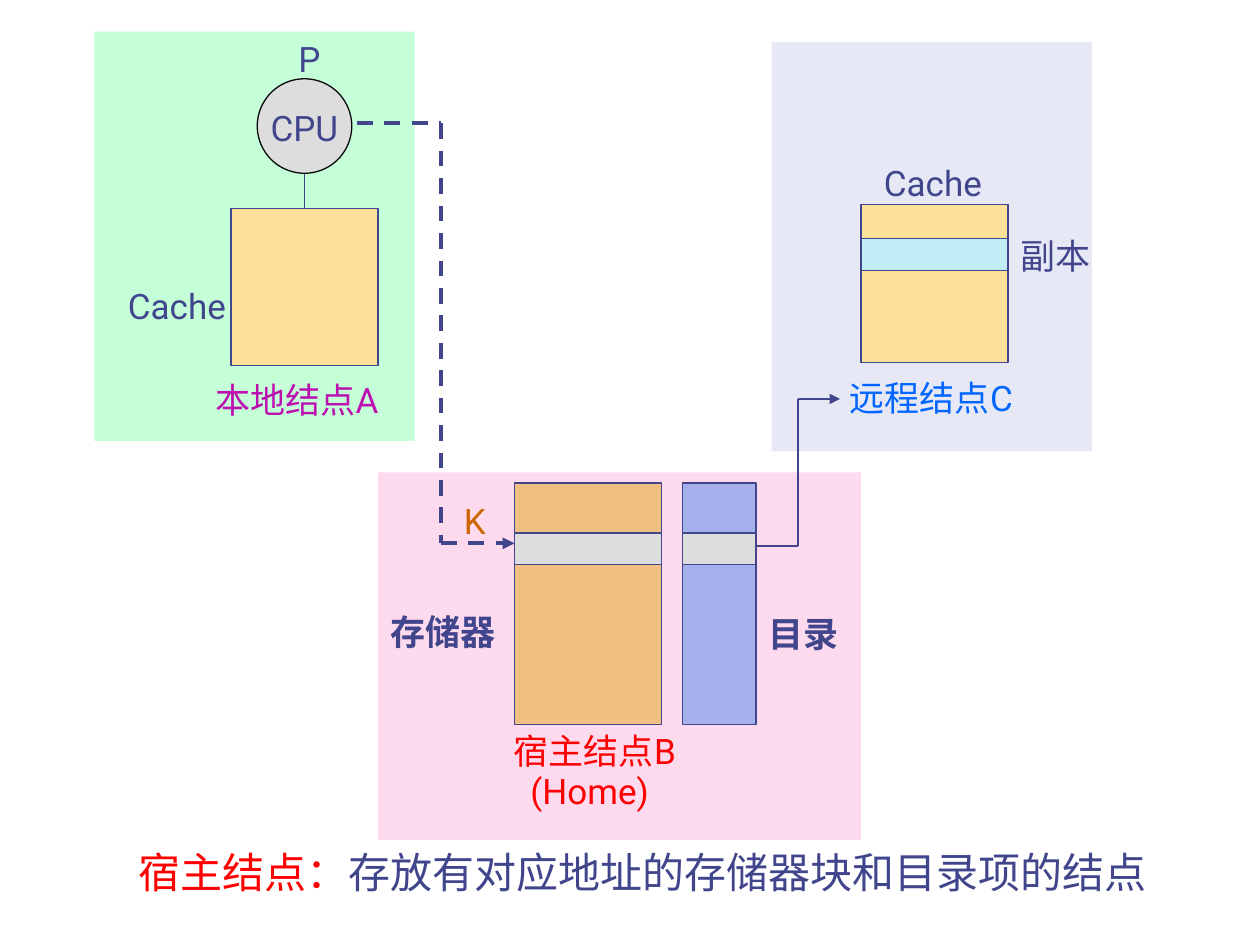
from dataclasses import dataclass
from itertools import pairwise

from pptx import Presentation
from pptx.dml.color import RGBColor
from pptx.enum.dml import MSO_LINE
from pptx.enum.shapes import MSO_CONNECTOR, MSO_SHAPE
from pptx.enum.text import MSO_AUTO_SIZE
from pptx.oxml.ns import qn
from pptx.util import Pt
from lxml.etree import SubElement

INK = RGBColor(0x40, 0x45, 0x8C)
BLACK = RGBColor(0x08, 0x08, 0x08)
GREEN = RGBColor(0xC5, 0xFF, 0xD8)
LAVENDER = RGBColor(0xE7, 0xE8, 0xF5)
PINK = RGBColor(0xFE, 0xDA, 0xEF)
GREY = RGBColor(0xDD, 0xDD, 0xDD)
YELLOW = RGBColor(0xFD, 0xE1, 0x9B)
CYAN = RGBColor(0xC0, 0xED, 0xF6)
ORANGE = RGBColor(0xEF, 0xC0, 0x81)
PERIWINKLE = RGBColor(0xA5, 0xB1, 0xED)
PURPLE = RGBColor(0xBC, 0x10, 0xB0)
BLUE = RGBColor(0x00, 0x66, 0xFF)
RED = RGBColor(0xFF, 0x00, 0x00)
BROWN = RGBColor(0xCC, 0x66, 0x00)

LATIN_FONT = "Roboto"
CHINESE_FONT = "Noto Sans CJK SC"


@dataclass
class Block:
    left: float
    top: float
    width: float
    height: float
    fill: RGBColor
    outline: RGBColor | None = INK
    kind: MSO_SHAPE = MSO_SHAPE.RECTANGLE


@dataclass
class Label:
    spans: list[tuple[str, RGBColor]]
    left: float
    top: float
    width: float
    height: float = 32
    size: float = 20
    bold: bool = False
    spacing: float = 1.0


@dataclass
class Route:
    points: list[tuple[float, float]]
    weight: float
    dashed: bool = False
    arrow: bool = True


# Node backgrounds
NODES = [
    Block(216, 270, 276, 210, PINK, None),
    Block(441, 24, 183, 234, LAVENDER, None),
    Block(54, 18, 183, 234, GREEN, None),
]

# Processor, caches, memory and directory, with their marked entries
PARTS = [
    Block(147, 45, 54, 54, GREY, BLACK, MSO_SHAPE.OVAL),
    Block(132, 119, 84, 90, YELLOW),
    Block(492, 117, 84, 90, YELLOW),
    Block(492, 136.5, 84, 18, CYAN),
    Block(294, 276, 84, 138, ORANGE),
    Block(390, 276, 42, 138, PERIWINKLE),
    Block(294, 304.5, 84, 18, GREY),
    Block(390, 304.5, 42, 18, GREY),
]

LABELS = [
    Label([("P", INK)], 163.5, 18, 36),
    Label([("CPU", INK)], 147.5, 57.5, 60),
    Label([("Cache", INK)], 66, 159, 84),
    Label([("本地结点A", PURPLE)], 116, 213, 121),
    Label([("Cache", INK)], 498, 88.5, 84),
    Label([("副本", INK)], 576, 130.5, 72),
    Label([("远程结点C", BLUE)], 478.5, 211.5, 112.5),
    Label([("K", BROWN)], 258, 282, 30),
    Label([("存储器", INK)], 216, 345.5, 78, bold=True),
    Label([("目录", INK)], 432, 346.5, 72, bold=True),
    Label([("宿主结点B", RED)], 286.5, 416, 114, 29, spacing=0.9),
    Label([("(Home)", RED)], 296, 439, 102, 29, spacing=0.9),
    Label([("宿主结点：", RED), ("存放有对应地址的存储器块和目录项的结点", INK)],
          72, 486, 605, 30, size=24, spacing=0.8),
]

CPU_LINK = Route([(174, 95), (174, 119)], 0.75, arrow=False)
ROUTES = [
    Route([(204, 70.5), (252, 70.5), (252, 310.5), (294, 310.5)], 2.25, dashed=True),
    Route([(432, 312), (456, 312), (456, 228), (480, 228)], 1.5),
]


def draw_block(page, block: Block) -> None:
    shape = page.shapes.add_shape(block.kind, Pt(block.left), Pt(block.top),
                                  Pt(block.width), Pt(block.height))
    shape.shadow.inherit = False
    shape.fill.solid()
    shape.fill.fore_color.rgb = block.fill
    if block.outline is None:
        shape.line.fill.background()
    else:
        shape.line.color.rgb = block.outline
        shape.line.width = Pt(0.75)


def draw_label(page, label: Label) -> None:
    box = page.shapes.add_textbox(Pt(label.left), Pt(label.top),
                                  Pt(label.width), Pt(label.height))
    frame = box.text_frame
    frame.word_wrap = True
    frame.auto_size = MSO_AUTO_SIZE.SHAPE_TO_FIT_TEXT
    para = frame.paragraphs[0]
    para.line_spacing = label.spacing
    para.font.size = Pt(label.size)
    para.font.bold = label.bold
    para.font.color.rgb = label.spans[0][1]
    para.font.name = LATIN_FONT
    # Chinese characters take the East Asian font
    defaults = para._p.pPr.find(qn("a:defRPr"))
    SubElement(defaults, qn("a:ea"), typeface=CHINESE_FONT)
    for text, color in label.spans:
        span = para.add_run()
        span.text = text
        if len(label.spans) > 1:
            span.font.color.rgb = color


def draw_route(page, route: Route) -> None:
    for start, end in pairwise(route.points):
        line = page.shapes.add_connector(MSO_CONNECTOR.STRAIGHT,
                                         *map(Pt, start), *map(Pt, end))
        line.line.color.rgb = INK
        line.line.width = Pt(route.weight)
        if route.dashed:
            line.line.dash_style = MSO_LINE.DASH
        if route.arrow and end == route.points[-1]:
            SubElement(line.line._get_or_add_ln(), qn("a:tailEnd"), type="triangle")
        SubElement(line._element.spPr, qn("a:effectLst"))


def main() -> None:
    deck = Presentation()
    deck.slide_width, deck.slide_height = Pt(720), Pt(540)
    page = deck.slides.add_slide(deck.slide_layouts[6])
    for node in NODES:
        draw_block(page, node)
    draw_route(page, CPU_LINK)
    for part in PARTS:
        draw_block(page, part)
    for route in ROUTES:
        draw_route(page, route)
    for label in LABELS:
        draw_label(page, label)
    deck.save("out.pptx")


if __name__ == "__main__":
    main()
